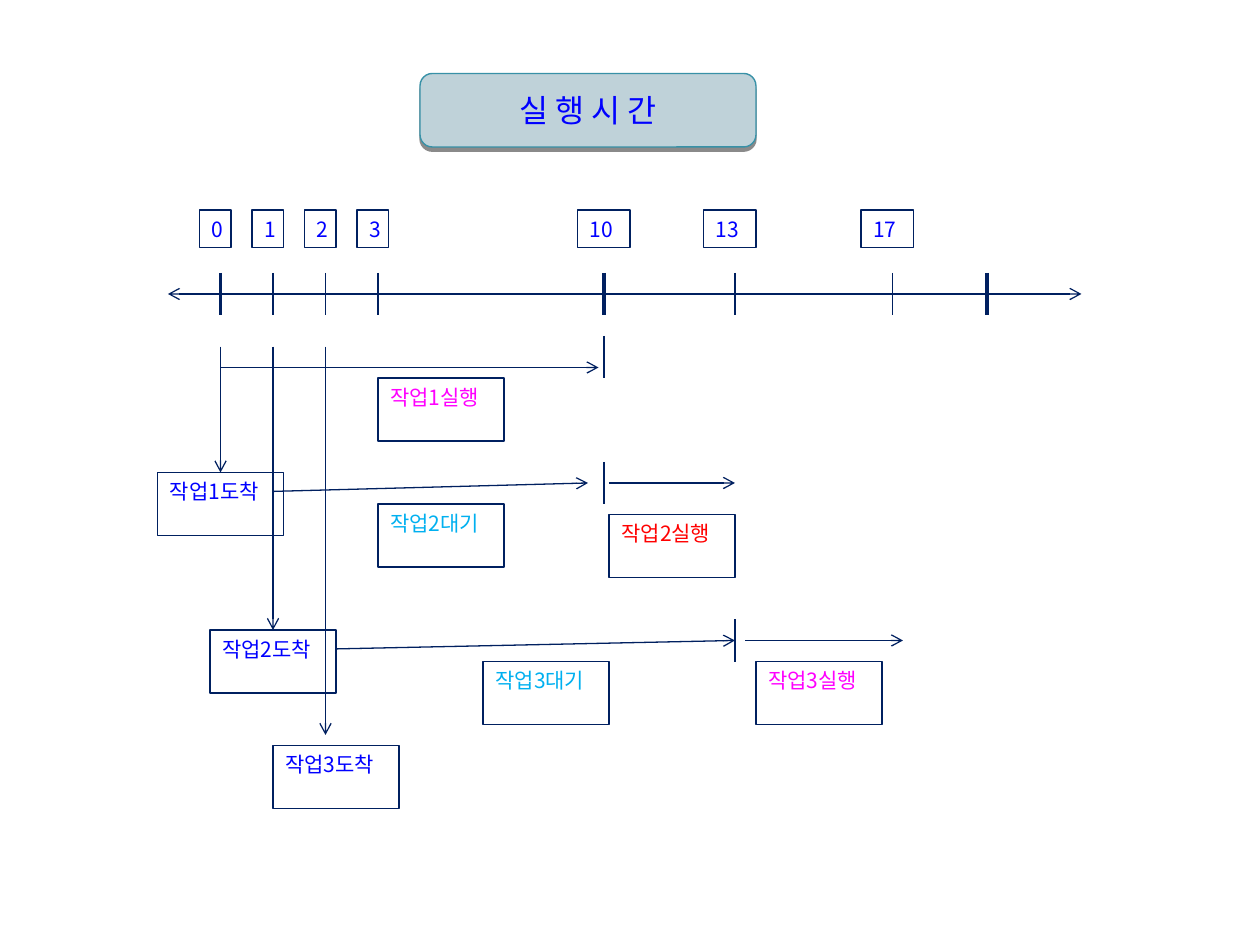
"""Build the job scheduling timeline slide."""
from lxml import etree
from pptx import Presentation
from pptx.dml.color import RGBColor
from pptx.enum.shapes import MSO_CONNECTOR, MSO_SHAPE
from pptx.enum.text import MSO_ANCHOR, PP_ALIGN
from pptx.oxml.ns import qn
from pptx.util import Pt

RECT, ROUNDED = MSO_SHAPE.RECTANGLE, MSO_SHAPE.ROUNDED_RECTANGLE
STRAIGHT = MSO_CONNECTOR.STRAIGHT
MIDDLE, TOP = MSO_ANCHOR.MIDDLE, MSO_ANCHOR.TOP
LEFT, CENTER = PP_ALIGN.LEFT, PP_ALIGN.CENTER

SCALE = 7620
FONT = "Noto Sans CJK KR"
NAVY, BLUE, MAGENTA, RED, SKY = "002060", "0000FF", "FF00FF", "FF0000", "00B0F0"
TEAL, PALE = "3891A7", "BFD2D9"

TITLE = "실 행 시 간"
AXIS = (160, 280, 1030, 280)
# label, tick x, label left, label width, tick weight
TICKS = [
    ("0", 210, 190, 30, 2.25),
    ("1", 260, 240, 30, 0.75),
    ("2", 310, 290, 30, 0.75),
    ("3", 360, 340, 30, 0.75),
    ("10", 575, 550, 50, 2.25),
    ("13", 700, 670, 50, 0.75),
    ("17", 850, 820, 50, 0.75),
    (None, 940, None, None, 2.25),
]
TICK_TOP, TICK_H = 260, 40
LABEL_TOP, LABEL_H = 200, 36
JOB_W, JOB_H = 120, 60
JOBS = [
    ("작업1도착", 150, 450, BLUE),
    ("작업2도착", 200, 600, BLUE),
    ("작업3도착", 260, 710, BLUE),
    ("작업1실행", 360, 360, MAGENTA),
    ("작업2대기", 360, 480, SKY),
    ("작업2실행", 580, 490, RED),
    ("작업3대기", 460, 630, SKY),
    ("작업3실행", 720, 630, MAGENTA),
]
ARRIVAL_TOP = 330
ARRIVALS = [(210, 450), (260, 600), (310, 700)]
SPANS = [
    (210, 350, 570, 350),
    (260, 468, 560, 460),
    (580, 460, 700, 460),
    (320, 618, 700, 610),
    (710, 610, 860, 610),
]
END_MARKS = [(575, 320, 1), (575, 440, 1), (700, 590, 0.75)]


def px(n):
    return n * SCALE


def rgb(color):
    return RGBColor.from_string(color)


def add_line(shapes, x1, y1, x2, y2, weight=0.75, ends=()):
    s = shapes.add_connector(STRAIGHT, px(x1), px(y1), px(x2), px(y2))
    s.line.color.rgb = rgb(NAVY)
    s.line.width = Pt(weight)
    ln = s.line._get_or_add_ln()
    for end in ends:
        etree.SubElement(ln, qn(f"a:{end}"), type="arrow")
    etree.SubElement(s._element.spPr, qn("a:effectLst"))


def add_box(shapes, text, x, y, w, h, color, kind=RECT, fill=None, outline=NAVY,
            weight=0.75, size=12, align=LEFT, anchor=TOP):
    sp = shapes.add_shape(kind, px(x), px(y), px(w), px(h))
    sp.shadow.inherit = False
    if fill:
        sp.fill.solid()
        sp.fill.fore_color.rgb = rgb(fill)
    else:
        sp.fill.background()
    sp.line.color.rgb = rgb(outline)
    sp.line.width = Pt(weight)
    tf = sp.text_frame
    tf.word_wrap = True
    tf.vertical_anchor = anchor
    p = tf.paragraphs[0]
    p.text = text
    p.alignment = align
    p.font.name = FONT
    p.font.size = Pt(size)
    p.font.color.rgb = rgb(color)
    return sp


def add_drop_shadow(sp):
    effects = sp._element.spPr.find(qn("a:effectLst"))
    shadow = etree.SubElement(effects, qn("a:outerShdw"), blurRad="0",
                              dist=str(Pt(2.4)), dir="5400000", rotWithShape="0")
    black = etree.SubElement(shadow, qn("a:srgbClr"), val="000000")
    etree.SubElement(black, qn("a:alpha"), val="45000")


def main():
    prs = Presentation()
    prs.slide_width, prs.slide_height = px(1200), px(900)
    shapes = prs.slides.add_slide(prs.slide_layouts[6]).shapes

    add_line(shapes, *AXIS, ends=("headEnd", "tailEnd"))
    for label, x, left, width, weight in TICKS:
        add_line(shapes, x, TICK_TOP, x, TICK_TOP + TICK_H, weight)
        if label:
            add_box(shapes, label, left, LABEL_TOP, width, LABEL_H, BLUE)
    for x, bottom in ARRIVALS:
        add_line(shapes, x, ARRIVAL_TOP, x, bottom, ends=("tailEnd",))
    for span in SPANS:
        add_line(shapes, *span, ends=("tailEnd",))
    for x, top, weight in END_MARKS:
        add_line(shapes, x, top, x, top + TICK_H, weight)
    for text, x, y, color in JOBS:
        add_box(shapes, text, x, y, JOB_W, JOB_H, color)

    title = add_box(shapes, TITLE, 400, 70, 320, 70, BLUE, ROUNDED, PALE, TEAL,
                    0.79, 18, CENTER, MIDDLE)
    add_drop_shadow(title)
    prs.save("out.pptx")


if __name__ == "__main__":
    main()
